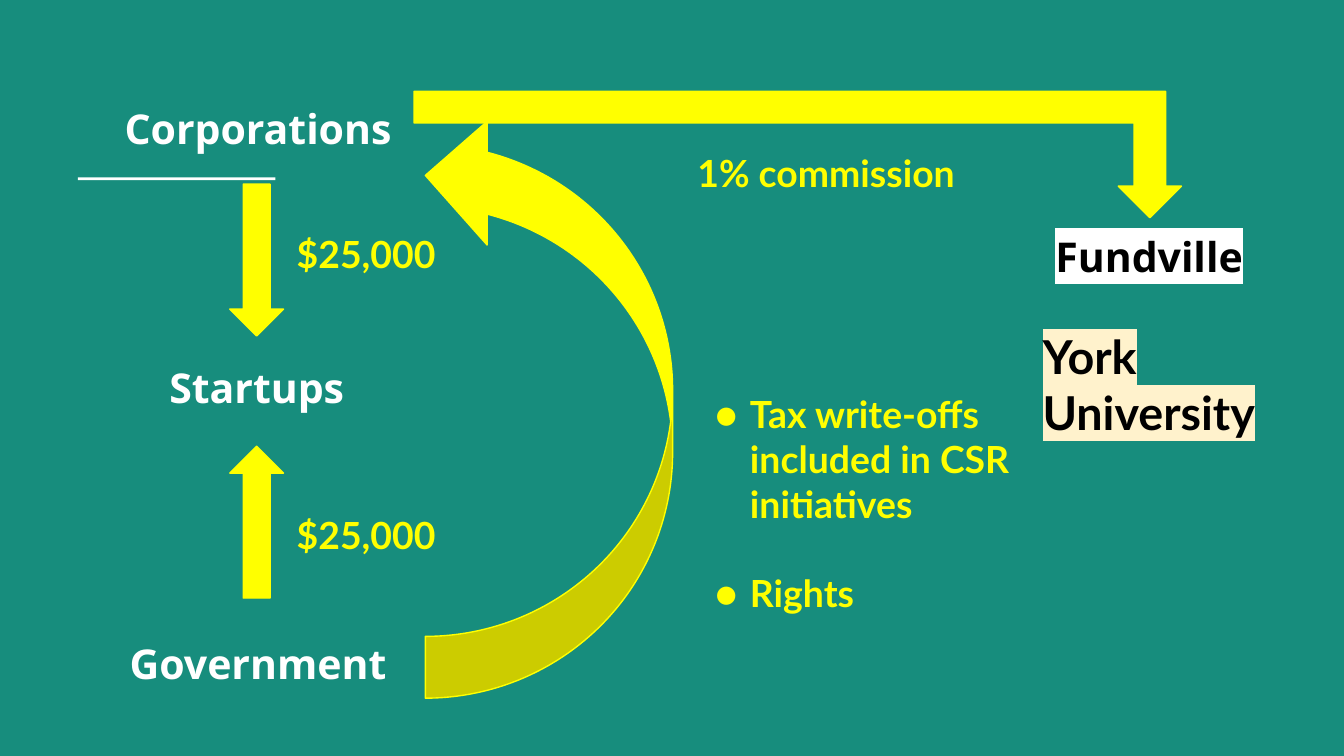
from lxml import etree
from pptx import Presentation
from pptx.dml.color import RGBColor
from pptx.enum.shapes import MSO_SHAPE
from pptx.enum.text import MSO_ANCHOR, MSO_AUTO_SIZE, PP_ALIGN
from pptx.oxml.ns import qn
from pptx.util import Inches, Pt

TEAL = RGBColor(0x17, 0x8D, 0x7D)
YELLOW = RGBColor(0xFF, 0xFF, 0x00)
WHITE = RGBColor(0xFF, 0xFF, 0xFF)
CREAM = RGBColor(0xFF, 0xF2, 0xCC)
BLACK = RGBColor(0x00, 0x00, 0x00)

LEFT, CENTER = PP_ALIGN.LEFT, PP_ALIGN.CENTER
TOP = MSO_ANCHOR.TOP
NO_AUTO_SIZE = MSO_AUTO_SIZE.NONE
RECTANGLE = MSO_SHAPE.RECTANGLE
DOWN_ARROW = MSO_SHAPE.DOWN_ARROW
CURVED_UP_ARROW = MSO_SHAPE.CURVED_UP_ARROW
BENT_UP_ARROW = MSO_SHAPE.BENT_UP_ARROW

HEADING_FONT, BODY_FONT = "Open Sans", "Lato"
PARTY_SIZE = (2.34, 0.63)
AMOUNT_SIZE = (1.37, 0.49)


def place(shape, left, top, width, height):
    shape.left, shape.top = Inches(left), Inches(top)
    shape.width, shape.height = Inches(width), Inches(height)


def add_highlight(run, color):
    """Put a marker colour behind a run; it must follow the text fill."""
    highlight = etree.Element(qn("a:highlight"))
    etree.SubElement(highlight, qn("a:srgbClr"), val=str(color))
    run.font._element.find(qn("a:solidFill")).addnext(highlight)


def add_bullet(paragraph, color):
    properties = paragraph._p.get_or_add_pPr()
    properties.set("marL", str(Inches(0.31)))
    properties.set("indent", str(Inches(-0.26)))
    bullet_color = etree.SubElement(properties, qn("a:buClr"))
    etree.SubElement(bullet_color, qn("a:srgbClr"), val=str(color))
    etree.SubElement(properties, qn("a:buFont"), typeface=BODY_FONT)
    etree.SubElement(properties, qn("a:buChar"), char="●")


def write_text(shape, lines, font, size, color, align=LEFT,
               highlight=None, bulleted=False, gap=0):
    """Fill a shape with one paragraph per line, gap points apart."""
    frame = shape.text_frame
    frame.word_wrap = True
    frame.auto_size = NO_AUTO_SIZE
    frame.vertical_anchor = TOP
    frame.margin_left = frame.margin_right = Inches(0.1)
    frame.margin_top = frame.margin_bottom = Inches(0.1)
    for index, line in enumerate(lines):
        paragraph = frame.paragraphs[0] if index == 0 else frame.add_paragraph()
        paragraph.alignment = align
        paragraph.space_before = Pt(gap if index else 0)
        if bulleted:
            add_bullet(paragraph, YELLOW)
        run = paragraph.add_run()
        run.text = line
        run.font.name = font
        run.font.size = Pt(size)
        run.font.bold = True
        run.font.color.rgb = color
        if highlight is not None:
            add_highlight(run, highlight)


def add_label(slide, box, lines, font, size, color, **options):
    label = slide.shapes.add_textbox(*map(Inches, box))
    write_text(label, lines, font, size, color, **options)


def add_solid_shape(slide, kind, box, color, rotation=0, outlined=True):
    shape = slide.shapes.add_shape(kind, *map(Inches, box))
    shape.shadow.inherit = False
    shape.rotation = rotation
    shape.fill.solid()
    shape.fill.fore_color.rgb = color
    if outlined:
        shape.line.color.rgb = color
        shape.line.width = Pt(0.75)
    else:
        shape.line.fill.background()
    return shape


def add_parties(slide):
    title = slide.shapes.title
    place(title, 0.75, 0.67, *PARTY_SIZE)
    write_text(title, ["Corporations"], HEADING_FONT, 22, WHITE, align=CENTER)
    for name, left, top, color, highlight in (
        ("Startups", 0.74, 2.6, WHITE, None),
        ("Government", 0.75, 4.65, WHITE, None),
        ("Fundville", 7.38, 1.62, BLACK, WHITE),
    ):
        add_label(slide, (left, top, *PARTY_SIZE), [name], HEADING_FONT, 22,
                  color, align=CENTER, highlight=highlight)
    add_label(slide, (7.66, 2.34, 2.06, 1.68), ["York", "University"],
              BODY_FONT, 25, BLACK, highlight=CREAM)


def add_flows(slide):
    for arrow_top, rotation, amount_top in ((1.37, 0, 1.62), (3.32, 180, 3.71)):
        add_solid_shape(slide, DOWN_ARROW, (1.71, arrow_top, 0.4, 1.13),
                        YELLOW, rotation)
        add_label(slide, (2.11, amount_top, *AMOUNT_SIZE), ["$25,000"],
                  BODY_FONT, 20, YELLOW)
    add_solid_shape(slide, CURVED_UP_ARROW, (1.91, 2.1, 4.35, 1.84), YELLOW, 270)
    commission = add_solid_shape(slide, BENT_UP_ARROW, (3.08, 0.68, 5.71, 0.94),
                                 YELLOW, 180)
    commission._element.spPr.find(qn("a:xfrm")).set("flipH", "1")
    add_label(slide, (5.09, 1.02, 2.21, 0.49), ["1% commission"],
              BODY_FONT, 20, YELLOW)


def add_benefits(slide):
    body = slide.placeholders[1]
    place(body, 5.17, 2.81, 2.49, 1.37)
    write_text(body, ["Tax write-offs included in CSR initiatives", "Rights"],
               BODY_FONT, 20, YELLOW, bulleted=True, gap=24)


def main():
    presentation = Presentation()
    presentation.slide_width = Inches(10)
    presentation.slide_height = presentation.slide_width * 9 // 16
    slide = presentation.slides.add_slide(presentation.slide_layouts[1])
    slide.background.fill.solid()
    slide.background.fill.fore_color.rgb = TEAL
    add_solid_shape(slide, RECTANGLE, (0.58, 1.32, 1.47, 0.02), WHITE,
                    outlined=False)
    add_benefits(slide)
    add_parties(slide)
    add_flows(slide)
    presentation.save("out.pptx")


if __name__ == "__main__":
    main()
